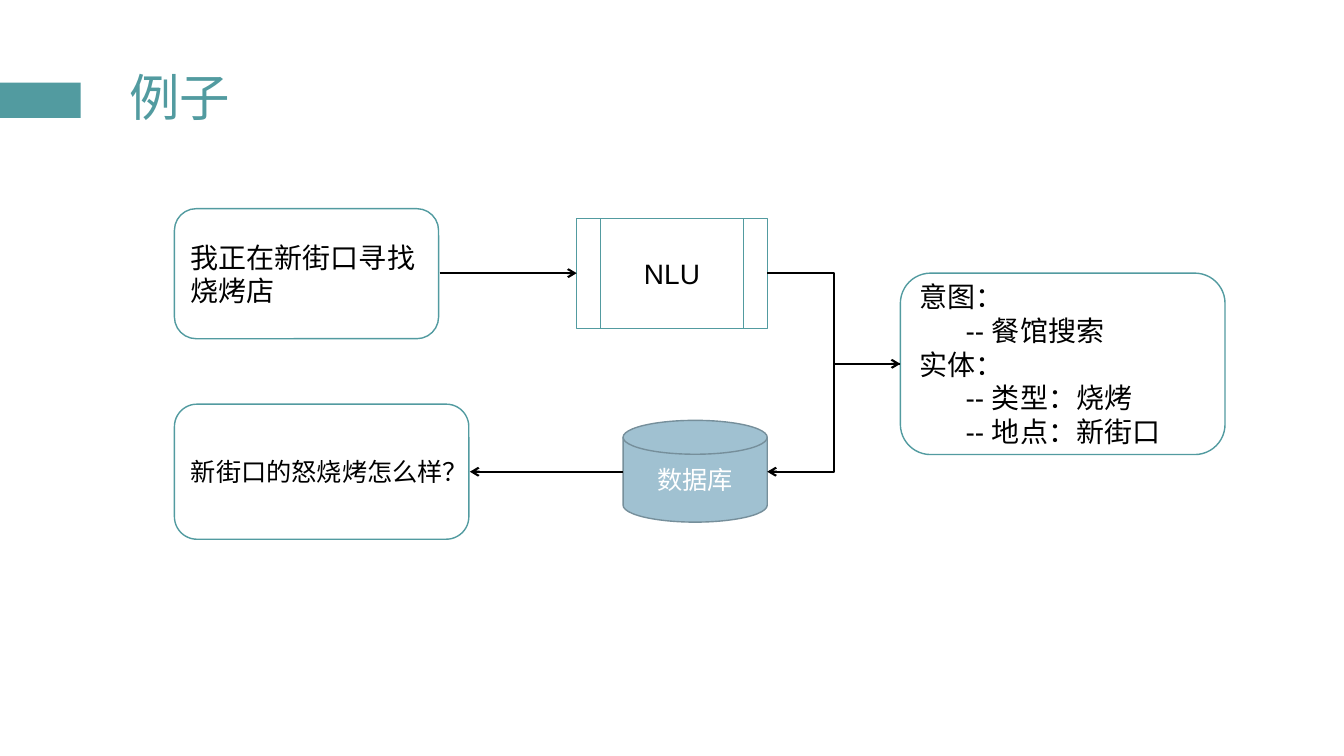
from pptx import Presentation, util as u
from pptx.dml import color
from pptx.enum import shapes, text
from pptx.oxml import ns
from lxml import etree

TEAL, BLACK, WHITE = "529BA0", "000000", "FFFFFF"
LEFT, MID = text.PP_ALIGN.LEFT, text.PP_ALIGN.CENTER
KIND = shapes.MSO_SHAPE
LINK = shapes.MSO_CONNECTOR


def paint(part, tint):
    if hasattr(part, "solid"):
        part.solid()
        part.fore_color.rgb = color.RGBColor.from_string(tint)
    else:
        part.rgb = color.RGBColor.from_string(tint)


def write(shape, lines, size, tint, align):
    frame = shape.text_frame
    frame.word_wrap = True
    frame.vertical_anchor = text.MSO_ANCHOR.MIDDLE
    for i, line in enumerate(lines):
        para = frame.add_paragraph() if i else frame.paragraphs[0]
        para.alignment = align
        if line.startswith("--"):
            para._p.get_or_add_pPr().set("marL", str(u.Inches(0.46)))
        run = para.add_run()
        run.text = line
        run.font.size = u.Pt(size)
        run.font.name = "Arial"
        paint(run.font.color, tint)


deck = Presentation()
deck.slide_width, deck.slide_height = u.Inches(13.33), u.Inches(7.5)
slide = deck.slides.add_slide(deck.slide_layouts[5])

title = slide.shapes.title
title.left, title.top = u.Inches(1.18), u.Inches(0.44)
title.width, title.height = u.Inches(10.98), u.Inches(1.11)
write(title, ["例子"], 36, TEAL, LEFT)
title.text_frame.paragraphs[0].line_spacing = 0.9

ROUND = KIND.FLOWCHART_ALTERNATE_PROCESS
nodes = [
    (KIND.RECTANGLE, (0, 0.82, 0.8, 0.35), TEAL, None, [], 18, WHITE, MID),
    (KIND.FLOWCHART_PREDEFINED_PROCESS, (5.72, 2.17, 1.89, 1.09),
     WHITE, TEAL, ["NLU"], 20, BLACK, MID),
    (ROUND, (1.73, 2.07, 2.62, 1.29), WHITE, TEAL,
     ["我正在新街口寻找烧烤店"], 20, BLACK, LEFT),
    (ROUND, (1.73, 4.01, 2.92, 1.34), WHITE, TEAL,
     ["新街口的怒烧烤怎么样？"], 18, BLACK, LEFT),
    (ROUND, (8.93, 2.71, 3.22, 1.8), WHITE, TEAL,
     ["意图：", "-- 餐馆搜索", "实体：", "-- 类型：烧烤", "-- 地点：新街口"],
     20, BLACK, LEFT),
    (KIND.FLOWCHART_MAGNETIC_DISK, (6.18, 4.17, 1.43, 1.01),
     "A0C1D1", "768F9B", ["数据库"], 18, WHITE, MID),
]
for kind, box, fill, edge, lines, size, tint, align in nodes:
    node = slide.shapes.add_shape(kind, *map(u.Inches, box))
    node.shadow.inherit = False
    paint(node.fill, fill)
    if edge:
        paint(node.line.fill, edge)
        node.line.width = u.Pt(1)
    else:
        node.line.fill.background()
    write(node, lines, size, tint, align)

links = [
    (LINK.STRAIGHT, (4.36, 2.71, 5.72, 2.71)),
    (LINK.ELBOW, (7.61, 2.71, 8.93, 3.61)),
    (LINK.ELBOW, (8.93, 3.61, 7.61, 4.68)),
    (LINK.STRAIGHT, (6.18, 4.68, 4.66, 4.68)),
]
for kind, ends in links:
    link = slide.shapes.add_connector(kind, *map(u.Inches, ends))
    paint(link.line.fill, BLACK)
    link.line.width = u.Pt(1.5)
    tail = etree.SubElement(link.line._get_or_add_ln(), ns.qn("a:tailEnd"))
    tail.set("type", "arrow")
    etree.SubElement(link._element.spPr, ns.qn("a:effectLst"))

deck.save("out.pptx")
